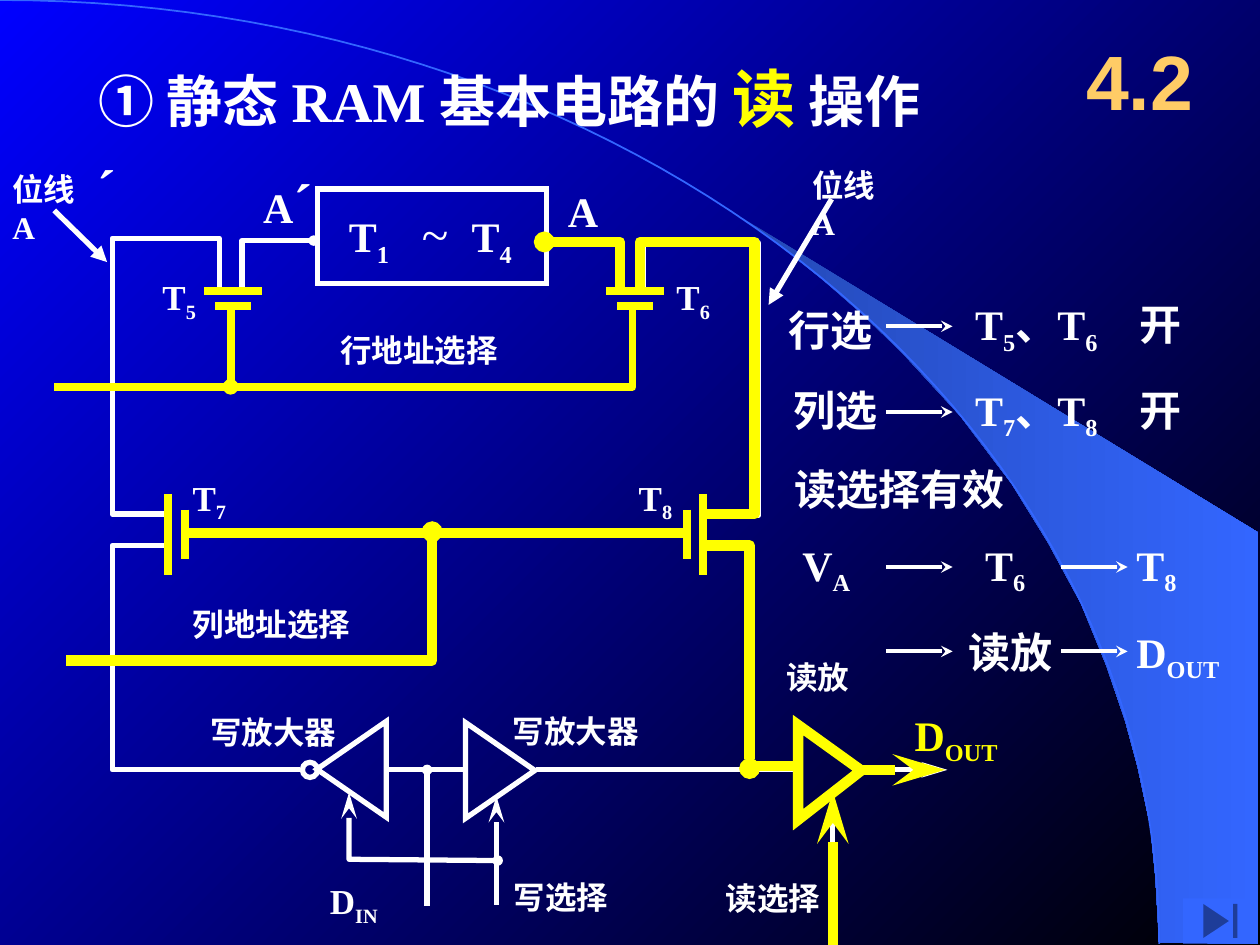
"""Build the slide on the read operation of the basic static RAM circuit."""
from dataclasses import dataclass
from typing import NamedTuple, Optional

from lxml import etree
from pptx import Presentation
from pptx import util as u
from pptx.dml.color import RGBColor
from pptx.enum import shapes, text
from pptx.oxml.ns import qn

COLUMNS, ROWS = 100, 75
CELL = u.Inches(0.1)
WHITE = RGBColor(0xFF, 0xFF, 0xFF)
YELLOW = RGBColor(0xFF, 0xFF, 0x00)
BLUE = RGBColor(0x00, 0x00, 0xFF)
BLACK = RGBColor(0x00, 0x00, 0x00)
SKY = RGBColor(0x33, 0x66, 0xFF)
DEEP = RGBColor(0x24, 0x49, 0xB6)
GOLD = RGBColor(0xFF, 0xCC, 0x66)
SERIF = "Times New Roman"


class End(NamedTuple):
    kind: str
    width: str
    length: str


DOT = End("oval", "sm", "sm")
SIGNAL = End("stealth", "med", "lg")
FLOW = End("stealth", "med", "med")
POINTER = End("triangle", "med", "med")


class Span(NamedTuple):
    words: str
    size: float
    color: RGBColor = WHITE
    lowered: bool = False
    bold: bool = True


@dataclass
class Label:
    spans: list
    area: tuple
    wrap: bool = False
    inset: float = 1
    tabs: tuple = ()
    font: str = SERIF
    centred: bool = False


@dataclass
class Wire:
    points: list
    color: RGBColor = WHITE
    width: float = 3
    head: Optional[End] = None
    tail: Optional[End] = None


@dataclass
class Amplifier:
    area: tuple
    rotation: int
    color: RGBColor = WHITE
    width: float = 3
    apex: float = 0.5


def cells(*values: float) -> list:
    """Convert grid cells to lengths."""
    return [u.Emu(round(value * CELL)) for value in values]


def scripted(words: str, size: float, color: RGBColor = WHITE) -> list:
    """Split words at bars, every second piece being a subscript."""
    return [Span(piece, size, color, index % 2 == 1)
            for index, piece in enumerate(words.split("|"))]


def set_gradient(fill, colors: tuple, angle: int) -> None:
    """Apply a two-colour linear gradient."""
    fill.gradient()
    fill.gradient_angle = angle
    for stop, color in zip(fill.gradient_stops, colors):
        stop.color.rgb = color


def set_line(shape, color: RGBColor, width: float, join: str = "round",
             head: Optional[End] = None, tail: Optional[End] = None) -> None:
    """Set the outline, its corners and its ends."""
    shape.line.color.rgb = color
    shape.line.width = u.Pt(width)
    outline = shape.element.spPr.find(qn("a:ln"))
    etree.SubElement(outline, qn(f"a:{join}"))
    for tag, end in (("a:headEnd", head), ("a:tailEnd", tail)):
        if end:
            etree.SubElement(outline, qn(tag), type=end.kind, w=end.width, len=end.length)


def draw_path(page, points: list, close: bool = False):
    """Draw an unshadowed outline through grid points."""
    places = [tuple(cells(*point)) for point in points]
    builder = page.shapes.build_freeform(*places[0], scale=1.0)
    builder.add_line_segments(places[1:], close=close)
    shape = builder.convert_to_shape()
    shape.shadow.inherit = False
    return shape


def draw_wire(page, wire: Wire) -> None:
    """Draw a straight or bent wire."""
    if len(wire.points) == 2:
        start, finish = wire.points
        shape = page.shapes.add_connector(
            shapes.MSO_CONNECTOR.STRAIGHT, *cells(*start, *finish))
    else:
        shape = draw_path(page, wire.points)
        shape.fill.background()
    set_line(shape, wire.color, wire.width, head=wire.head, tail=wire.tail)
    if len(wire.points) == 2:
        etree.SubElement(shape.element.spPr, qn("a:effectLst"))


def draw_preset(page, kind, area: tuple):
    """Draw an unfilled, unshadowed preset shape."""
    shape = page.shapes.add_shape(kind, *cells(*area))
    shape.shadow.inherit = False
    shape.fill.background()
    return shape


def draw_amplifier(page, amplifier: Amplifier) -> None:
    """Draw a triangular amplifier."""
    shape = draw_preset(page, shapes.MSO_SHAPE.ISOSCELES_TRIANGLE, amplifier.area)
    shape.adjustments[0] = amplifier.apex
    shape.rotation = amplifier.rotation
    set_line(shape, amplifier.color, amplifier.width, "miter")


def draw_label(page, label: Label) -> None:
    """Draw a text box with its formatted spans."""
    box = page.shapes.add_textbox(*cells(*label.area))
    frame = box.text_frame
    frame.word_wrap = label.wrap
    frame.margin_left = frame.margin_right = cells(label.inset)[0]
    para = frame.paragraphs[0]
    if label.centred:
        frame.vertical_anchor = text.MSO_ANCHOR.MIDDLE
        para.alignment = text.PP_ALIGN.CENTER
    if label.tabs:
        stops = etree.SubElement(para._p.get_or_add_pPr(), qn("a:tabLst"))
        for position in cells(*label.tabs):
            etree.SubElement(stops, qn("a:tab"), pos=str(position), algn="l")
    for span in label.spans:
        run = para.add_run()
        run.text = span.words
        run.font.name, run.font.size = label.font, u.Pt(span.size)
        run.font.bold, run.font.color.rgb = span.bold, span.color
        if span.lowered:
            run.font._element.set("baseline", "-25000")


def draw_backdrop(page) -> None:
    """Draw the gradient, the bright band and the arc."""
    set_gradient(page.background.fill, (BLUE, BLACK), 315)
    band = draw_path(page, [
        (92, 74.8), (99.9, 74.9), (99.9, 42.3), (58.9, 17.3), (62.4, 19.9),
        (65.3, 22.2), (68.5, 25), (71.6, 28), (76.2, 33), (80.3, 38.4),
        (83.2, 43.1), (85.8, 47.9), (87.8, 52.8), (89.3, 57.2), (90.3, 60.9),
        (91.3, 65.6), (91.7, 69.6)], close=True)
    set_gradient(band.fill, (DEEP, SKY), 0)
    band.line.fill.background()
    steps = [step / 60 for step in range(61)]
    draw_wire(page, Wire([
        (3 * t * (1 - t) ** 2 * 50.8 + (3 * (1 - t) + t) * t * t * 92,
         3 * t * t * (1 - t) * 33.5 + t ** 3 * 74.9) for t in steps], SKY, 1))


def transistor_bars() -> list:
    """Return the long and short bars of the four transistors."""
    bars = []
    for center in (18.5, 50.4):
        for half, row in ((2.3, 23.1), (1.4, 24.3)):
            bars.append([(center - half, row), (center + half, row)])
    for long_column, short_column in ((13.3, 14.7), (55.8, 54.5)):
        for half, column in ((3.2, long_column), (1.95, short_column)):
            bars.append([(column, 42.4 - half), (column, 42.4 + half)])
    return [Wire(bar, YELLOW, 4.5) for bar in bars]


WIRES = [
    Wire([(24.9, 19.1), (19.2, 19.1), (19.2, 23.1)], head=DOT),
    Wire([(42.5, 61.1), (63.4, 61.1)]),
    Wire([(68.8, 61.1), (75.2, 61.1)], tail=SIGNAL),
    Wire([(30.7, 61.1), (37, 61.1)]),
    Wire([(33.9, 61.1), (33.9, 71.9)], head=DOT),
    Wire([(39.4, 71.8), (39.4, 63.2)], tail=SIGNAL),
    Wire([(27.7, 62.9), (27.7, 68.2), (39.5, 68.3)], head=SIGNAL, tail=DOT),
    Wire([(13.4, 43.3), (8.9, 43.3), (8.9, 61.1), (23.8, 61.1)]),
    Wire([(66.1, 75), (66.1, 63.2)], tail=SIGNAL),
    Wire([(17.4, 23), (17.4, 18.9), (8.9, 18.9), (8.9, 40.8), (13.4, 40.8)]),
    Wire([(51.1, 23.1), (51.1, 19.3), (60.2, 19.3), (60.2, 40.9), (55.9, 40.9)]),
    Wire([(66, 15.8), (61, 24.2)], tail=POINTER),
    Wire([(4.3, 16.7), (8.5, 20.8)], tail=POINTER),
    Wire([(34.3, 42.2), (34.3, 52.4), (5.2, 52.4)], YELLOW, 6, head=DOT),
    Wire([(14.6, 42.3), (54.4, 42.3)], YELLOW, 6),
    Wire([(43.2, 19.2), (49.2, 19.2), (49.2, 23)], YELLOW, 6, head=DOT),
    Wire([(55.8, 43.3), (59.5, 43.3), (59.5, 61)], YELLOW, 6, tail=DOT),
    Wire([(59.6, 60.8), (63.5, 60.8)], YELLOW, 6),
    Wire([(66.1, 75), (66.1, 62.8)], YELLOW, 6, tail=SIGNAL),
    Wire([(50.8, 22.9), (50.8, 19.2), (59.9, 19.2), (59.9, 40.8), (55.7, 40.8)], YELLOW, 6),
    Wire([(68.1, 61.1), (75, 61.1)], YELLOW, 6, tail=SIGNAL),
    Wire([(50.2, 24.3), (50.2, 30.7), (4.3, 30.7)], YELLOW, 4.5),
    Wire([(18.3, 24.3), (18.3, 30.7)], YELLOW, 4.5, tail=DOT),
] + transistor_bars() + [
    Wire([(column, row), (column + 5.3, row)], width=2.25, tail=FLOW)
    for column, row in ((70.3, 25.9), (70.3, 32.7), (70.3, 45), (84.2, 45),
                        (70.3, 51.7), (84.2, 51.7))]

AMPLIFIERS = [
    Amplifier((35.9, 58.4, 7.6, 5.5), 90),
    Amplifier((24.1, 58.3, 7.6, 5.5), 270),
    Amplifier((62.1, 58.8, 7.5, 5), 90, YELLOW, 6, 0.48),
]

LABELS = [
    Label([Span("① 静态 RAM 基本电路的 ", 32), Span("读", 36, YELLOW), Span(" 操作", 32)],
          (6.8, 4.2, 75.7, 7), True),
    Label([Span("4.2", 44, GOLD)], (84.2, 1.7, 12.5, 9.2), True, font="Arial", centred=True),
    Label([Span("A", 24), Span("´", 32)], (19.9, 12.8, 6.6, 6.3)),
    Label([Span("T", 24), Span("1", 24, lowered=True), Span("\t~\t", 28, bold=False),
           *scripted("T|4", 24)], (26.7, 15.7, 19.8, 5.7), True, tabs=(5.8, 9.75)),
    Label([Span("A", 24)], (44.1, 14.2, 4.4, 5)),
    Label([Span("´", 32)], (6.7, 11.7, 4.2, 6.3)),
    Label(scripted("D|IN", 20), (25.2, 69.3, 6, 4.3)),
    Label(scripted("D|OUT", 24, YELLOW), (71.6, 55.8, 9.2, 5)),
    Label([Span("行选", 24)], (62, 23.7, 9, 5), True, 0.6),
    Label([Span("列选", 24)], (62.8, 30, 8.3, 5), True, 0.2),
    Label([Span("读选择有效", 24)], (62.1, 36.3, 29.1, 5), True),
    Label(scripted("V|A", 24), (62.7, 42.3, 7, 5), True),
    Label([Span("读放", 24)], (76.7, 49.2, 9.2, 5), True, 0.2),
    Label(scripted("D|OUT", 24), (89.2, 49.2, 10.8, 5), True),
] + [
    Label(scripted(f"T|{number}", 20), (column, row, 4.8, 4.3))
    for number, column, row in ((5, 11.9, 21.4), (6, 52.7, 21.4), (7, 14.3, 37.3), (8, 49.7, 37.3))
] + [
    Label(scripted(f"T|{number}", 24), (column, 42.3, 5.3, 5))
    for number, column in ((6, 77.2), (8, 89.2))
] + [
    Label(scripted(f"T|{first}|、T|{first + 1}|\t开", 24), (77.2, row, 19.3, 5), True, 0.2, (13,))
    for first, row in ((5, 23.2), (7, 30))
] + [
    Label([Span(words, 18)], (column, row, 2 + 2.5 * len(words), 4))
    for words, column, row in (
        ("写放大器", 15.7, 56.1), ("写放大器", 39.7, 56), ("写选择", 39.8, 69.2),
        ("读选择", 56.6, 69.3), ("读放", 61.4, 51.7), ("列地址选择", 14.3, 47.5),
        ("行地址选择", 26, 25.8))
] + [
    Label([Span("位线A", 18)], (column, row, 8, 4), True)
    for column, row in ((63.5, 12.7), (0, 13))]


def main() -> None:
    """Build and save the deck."""
    deck = Presentation()
    deck.slide_width, deck.slide_height = cells(COLUMNS, ROWS)
    page = deck.slides.add_slide(deck.slide_layouts[6])
    draw_backdrop(page)
    for kind, area in ((shapes.MSO_SHAPE.RECTANGLE, (25.2, 15, 18.2, 7.5)),
                       (shapes.MSO_SHAPE.OVAL, (24, 60.5, 1.2, 1.2))):
        set_line(draw_preset(page, kind, area), WHITE, 3, "miter")
    for wire in WIRES:
        draw_wire(page, wire)
    for amplifier in AMPLIFIERS:
        draw_amplifier(page, amplifier)
    for label in LABELS:
        draw_label(page, label)
    button = draw_preset(page, shapes.MSO_SHAPE.ACTION_BUTTON_END, (93.9, 71.3, 5.9, 3.6))
    button.fill.solid()
    button.fill.fore_color.rgb = SKY
    button.line.fill.background()
    deck.save("out.pptx")


if __name__ == "__main__":
    main()
